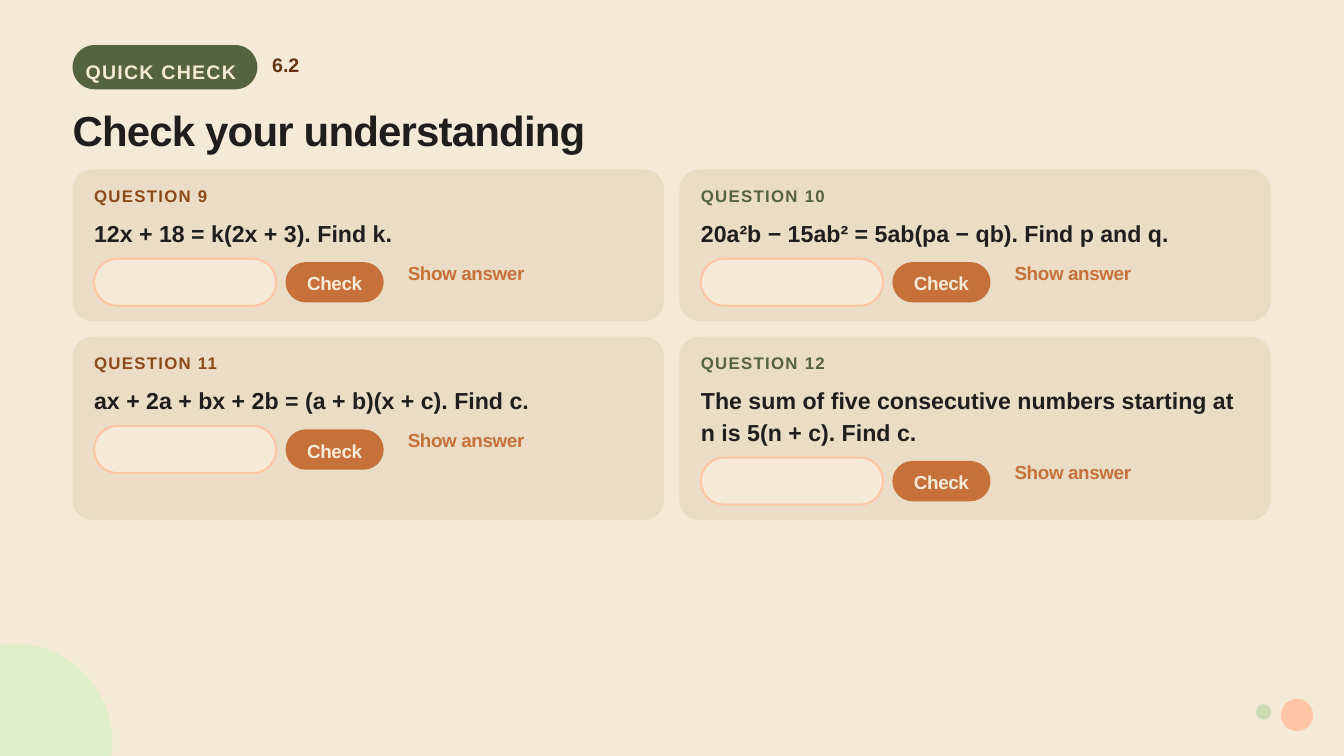
from dataclasses import dataclass

from pptx import Presentation
from pptx.dml.color import RGBColor
from pptx.enum.shapes import MSO_SHAPE
from pptx.enum.text import MSO_ANCHOR, PP_ALIGN
from pptx.util import Inches, Pt

ROUNDED, OVAL = MSO_SHAPE.ROUNDED_RECTANGLE, MSO_SHAPE.OVAL
TOP, LEFT, CENTER = MSO_ANCHOR.TOP, PP_ALIGN.LEFT, PP_ALIGN.CENTER


@dataclass(frozen=True)
class TextStyle:
    size: float
    line: float
    spacing: float = 0


@dataclass(frozen=True)
class Theme:
    font: str = "Arial"
    cream: str = "F5EAD8"
    card: str = "EBDDC5"
    ink: str = "201E1D"
    olive: str = "56633F"
    brown: str = "643312"
    rust: str = "8C491A"
    orange: str = "C67139"
    peach: str = "FFC6A5"
    mint: str = "E1EECC"
    sage: str = "CCDBB2"
    badge: TextStyle = TextStyle(21, 32.5, 1.3)
    section: TextStyle = TextStyle(21, 32.5)
    title: TextStyle = TextStyle(45, 46.8, -0.9)
    label: TextStyle = TextStyle(18, 27.9, 1.4)
    question: TextStyle = TextStyle(24.8, 33.7)
    action: TextStyle = TextStyle(20.2, 24.3, -0.4)


MARGIN = 1.08
CARD_TOP, CARD_W, CARD_H, CARD_RADIUS = 2.52, 8.8, 2.26, 0.3
GAP = 0.23
PAD = 0.32
EXTRA_LINE = 0.47

# Each row holds (label, question, number of text lines).
QUESTION_ROWS = [
    [("QUESTION 9", "12x + 18 = k(2x + 3). Find k.", 1),
     ("QUESTION 10", "20a²b − 15ab² = 5ab(pa − qb). Find p and q.", 1)],
    [("QUESTION 11", "ax + 2a + bx + 2b = (a + b)(x + c). Find c.", 1),
     ("QUESTION 12", "The sum of five consecutive numbers starting at "
                     "n is 5(n + c). Find c.", 2)],
]


class SlideBuilder:
    def __init__(self, slide, theme):
        self.s = slide
        self.theme = theme

    def background(self, color):
        fill = self.s.background.fill
        fill.solid()
        fill.fore_color.rgb = RGBColor.from_string(color)

    def shape(self, kind, x, y, w, h, fill, line=None):
        sp = self.s.shapes.add_shape(kind, Inches(x), Inches(y), Inches(w), Inches(h))
        sp.shadow.inherit = False
        sp.fill.solid()
        sp.fill.fore_color.rgb = RGBColor.from_string(fill)
        if line:
            sp.line.color.rgb = RGBColor.from_string(line)
            sp.line.width = Pt(2.25)
        else:
            sp.line.fill.background()
        return sp

    def circle(self, x, y, d, fill):
        return self.shape(OVAL, x, y, d, d, fill)

    def rounded(self, x, y, w, h, radius, fill, line=None):
        sp = self.shape(ROUNDED, x, y, w, h, fill, line)
        sp.adjustments[0] = radius / min(w, h)
        return sp

    def pill(self, x, y, w, h, fill, line=None):
        return self.rounded(x, y, w, h, h / 2, fill, line)

    def set_text(self, sp, text, style, color, align=LEFT, inset=(0, 0), wrap=True):
        """Fill a shape with one styled paragraph; inset is (left, top)."""
        tf = sp.text_frame
        tf.word_wrap = wrap
        tf.vertical_anchor = TOP
        tf.margin_left, tf.margin_top = Inches(inset[0]), Inches(inset[1])
        tf.margin_right = tf.margin_bottom = 0
        tf.text = text
        p = tf.paragraphs[0]
        p.alignment = align
        p.line_spacing = Pt(style.line)
        r = p.runs[0]
        r.font.name = self.theme.font
        r.font.size = Pt(style.size)
        r.font.bold = True
        r.font.color.rgb = RGBColor.from_string(color)
        if style.spacing:
            r._r.get_or_add_rPr().set("spc", str(round(style.spacing * 100)))

    def text(self, x, y, w, h, text, style, color, align=LEFT, wrap=True):
        sp = self.s.shapes.add_textbox(Inches(x), Inches(y), Inches(w), Inches(h))
        self.set_text(sp, text, style, color, align, wrap=wrap)

    def question_card(self, x, y, h, label, question, lines, accent):
        t = self.theme
        left, text_w = x + PAD, CARD_W - 2 * PAD + 0.02
        shift = (lines - 1) * EXTRA_LINE
        controls = y + 1.33 + shift
        self.rounded(x, y, CARD_W, h, CARD_RADIUS, t.card)
        self.text(left, y + 0.15, text_w, 0.47, label, t.label, accent)
        self.text(left, y + 0.69, text_w, 0.52 + shift, question, t.question, t.ink)
        self.pill(left, controls, 2.71, 0.7, t.cream, t.peach)
        button = self.pill(left + 2.85, controls + 0.05, 1.46, 0.6, t.orange)
        self.set_text(button, "Check", t.action, t.cream, CENTER, (0, 0.06))
        self.text(left + 4.45, controls + 0.04, 2.17, 0.61,
                  "Show answer", t.action, t.orange, CENTER)


def main():
    prs = Presentation()
    prs.slide_width, prs.slide_height = Inches(20), Inches(11.25)
    t = Theme()
    b = SlideBuilder(prs.slides.add_slide(prs.slide_layouts[6]), t)

    b.background(t.cream)
    b.circle(-1.25, 9.58, 2.92, t.mint)
    b.circle(19.06, 10.4, 0.48, t.peach)
    b.circle(18.69, 10.48, 0.23, t.sage)

    badge = b.pill(MARGIN, 0.67, 2.75, 0.66, t.olive)
    b.set_text(badge, "QUICK CHECK", t.badge, t.cream, inset=(0.1, 0.03), wrap=False)
    b.text(4.05, 0.69, 0.41, 0.53, "6.2", t.section, t.brown, wrap=False)
    b.text(MARGIN, 1.65, 17.83, 0.59, "Check your understanding", t.title, t.ink)

    y = CARD_TOP
    for row in QUESTION_ROWS:
        h = CARD_H + (max(lines for _, _, lines in row) - 1) * EXTRA_LINE
        for col, (item, accent) in enumerate(zip(row, (t.rust, t.olive))):
            b.question_card(MARGIN + col * (CARD_W + GAP), y, h, *item, accent)
        y += h + GAP

    prs.save("out.pptx")


if __name__ == "__main__":
    main()
